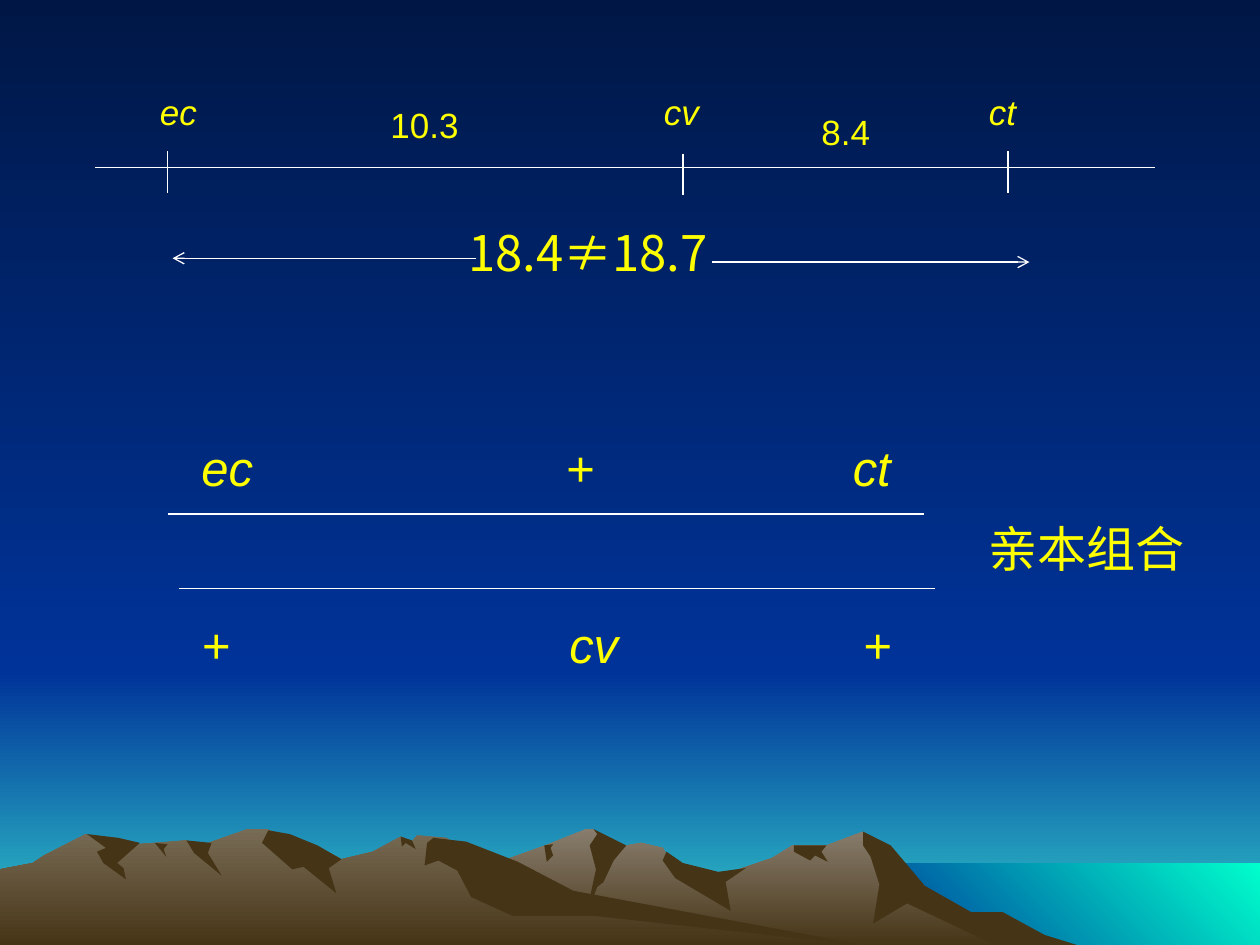
import pptx
import pptx.dml.color
import pptx.enum.shapes
import pptx.enum.text
import pptx.oxml.ns
import pptx.util

Inches = pptx.util.Inches
Pt = pptx.util.Pt
RGBColor = pptx.dml.color.RGBColor
qn = pptx.oxml.ns.qn

NIGHT = RGBColor(0x00, 0x17, 0x46)
BLUE = RGBColor(0x00, 0x33, 0x99)
HORIZON = RGBColor(0x33, 0xCC, 0xCC)
AQUA = RGBColor(0x00, 0xFF, 0xCC)
FAR_PEAK = RGBColor(0x88, 0x7D, 0x6D)
NEAR_PEAK = RGBColor(0x78, 0x6B, 0x55)
EARTH = RGBColor(0x46, 0x34, 0x16)
YELLOW = RGBColor(0xFF, 0xFF, 0x00)
WHITE = RGBColor(0xFF, 0xFF, 0xFF)

LATIN = "Arial"
CJK = "Noto Sans CJK SC"
DOWN = 270
UP_RIGHT = 45

SLIDE_WIDTH = 10
SLIDE_HEIGHT = 7.5
SKY_BREAK = 5.33
SEA_LEFT, SEA_TOP = 6.83, 6.85
GROUND = 7.51

MAP_Y = 1.33
TICK_HEIGHT = 0.33
STRAND_LENGTH = 6
LABEL_SIZE, ALLELE_SIZE = 20, 28
BOX_HEIGHT = {LABEL_SIZE: 0.44, ALLELE_SIZE: 0.57}

FAR_SKYLINE = [
    (2.58, GROUND), (3.27, 7.09), (3.94, 6.85), (4.33, 6.71), (4.65, 6.58), (4.71, 6.58),
    (4.86, 6.73), (5.09, 6.69), (5.26, 6.73), (5.36, 6.9), (5.66, 6.97), (6.13, 6.81),
    (6.29, 6.71), (6.56, 6.71), (6.85, 6.6), (7.02, 6.71), (7.23, 6.98), (7.64, 7.23),
    (8.21, GROUND)]
FAR_SHADOWS = {
    "east slope": [
        (6.85, 6.6), (6.85, 6.71), (6.91, 6.8), (6.98, 7.02), (6.93, 7.33), (7.2, 7.17),
        (7.92, GROUND), (8.58, GROUND), (8.29, 7.42), (7.96, 7.24), (7.71, 7.24),
        (7.34, 7.03), (7.07, 6.71)],
    "summit gully": [
        (4.71, 6.58), (4.74, 6.62), (4.68, 6.71), (4.73, 6.9), (4.65, 7.27), (4.74, 7.04),
        (4.79, 7), (4.87, 6.83), (4.97, 6.71)],
    "saddle": [
        (5.29, 6.76), (5.26, 6.83), (5.36, 6.97), (5.8, 7.23), (5.76, 7), (5.92, 6.89),
        (5.7, 6.92), (5.42, 6.85)],
    "east notch": [
        (6.3, 6.71), (6.3, 6.76), (6.43, 6.83), (6.47, 6.79), (6.57, 6.84), (6.52, 6.76),
        (6.56, 6.71)],
    "west notch": [(4.32, 6.71), (4.39, 6.7), (4.37, 6.73), (4.39, 6.79), (4.34, 6.84)],
}
NEAR_SKYLINE = [
    (0, GROUND), (0, 6.9), (0.26, 6.85), (0.35, 6.79), (0.68, 6.62), (0.94, 6.71),
    (1.23, 6.69), (1.48, 6.67), (1.6, 6.71), (1.96, 6.58), (2.12, 6.58), (2.23, 6.63),
    (2.36, 6.81), (2.6, 6.76), (2.71, 6.82), (2.96, 6.76), (3.18, 6.64), (3.27, 6.68),
    (3.31, 6.63), (3.54, 6.65), (4.32, 7.12), (6.9, GROUND)]
NEAR_SHADOWS = {
    "central slope": [
        (2.13, 6.59), (2.08, 6.69), (2.32, 6.9), (2.41, 6.88), (2.67, 7.09), (2.61, 6.89),
        (2.71, 6.82), (2.52, 6.71), (2.3, 6.62)],
    "long east slope": [
        (3.44, 6.65), (3.39, 6.69), (3.37, 6.87), (3.48, 6.83), (3.63, 6.91), (3.74, 7.12),
        (4.07, 7.27), (4.72, 7.27), (6.9, GROUND), (4.55, 7.07), (4.11, 6.84), (3.7, 6.68)],
    "east notch": [(3.18, 6.64), (3.27, 6.67), (3.3, 6.74), (3.22, 6.69), (3.19, 6.72)],
    "middle gully": [
        (1.48, 6.67), (1.68, 6.69), (1.65, 6.77), (1.76, 6.95), (1.54, 6.77)],
    "small notch": [(1.23, 6.69), (1.33, 6.7), (1.3, 6.74), (1.32, 6.8)],
    "west slope": [
        (0.69, 6.62), (0.94, 6.65), (1.11, 6.69), (0.93, 6.85), (0.98, 6.89), (1, 6.98),
        (0.82, 6.85), (0.77, 6.76), (0.84, 6.73)],
}


class GeneMapSlide:
    def __init__(self, slide):
        self.slide = slide
        slide.background.fill.solid()
        slide.background.fill.fore_color.rgb = BLUE

    def polygon(self, points, *colors, angle=DOWN):
        start, *corners = [(Inches(x), Inches(y)) for x, y in points]
        builder = self.slide.shapes.build_freeform(*start, scale=1.0)
        builder.add_line_segments(corners, close=True)
        area = builder.convert_to_shape()
        area.shadow.inherit = False
        area.line.fill.background()
        if len(colors) == 1:
            area.fill.solid()
            area.fill.fore_color.rgb = colors[0]
            return
        area.fill.gradient()
        area.fill.gradient_angle = angle
        for stop, color in zip(area.fill.gradient_stops, colors):
            stop.color.rgb = color

    def band(self, left, top, bottom, *colors, angle=DOWN):
        corners = [(left, top), (SLIDE_WIDTH, top), (SLIDE_WIDTH, bottom), (left, bottom)]
        self.polygon(corners, *colors, angle=angle)

    def mountains(self, skyline, peak, shadows):
        self.polygon(skyline, peak, EARTH)
        for outline in shadows.values():
            self.polygon(outline, EARTH)

    def line(self, x1, y1, x2, y2, arrow=False):
        stroke = self.slide.shapes.add_connector(
            pptx.enum.shapes.MSO_CONNECTOR.STRAIGHT,
            Inches(x1), Inches(y1), Inches(x2), Inches(y2))
        stroke.line.color.rgb = WHITE
        stroke.line.width = Pt(0.75)
        properties = stroke._element.spPr
        if arrow:
            outline = properties.find(qn("a:ln"))
            outline.append(outline.makeelement(qn("a:tailEnd"), {"type": "arrow"}))
        properties.append(properties.makeelement(qn("a:effectLst")))

    def text(self, words, left, top, width, size=ALLELE_SIZE, font=LATIN, italic=False):
        box = self.slide.shapes.add_textbox(
            Inches(left), Inches(top), Inches(width), Inches(BOX_HEIGHT[size]))
        frame = box.text_frame
        frame.text = words
        frame.word_wrap = False
        frame.auto_size = pptx.enum.text.MSO_AUTO_SIZE.SHAPE_TO_FIT_TEXT
        letters = frame.paragraphs[0].runs[0]
        letters.font.size = Pt(size)
        letters.font.name = font
        letters.font.italic = italic
        letters.font.color.rgb = YELLOW
        latin = letters.font._element.find(qn("a:latin"))
        latin.addnext(latin.makeelement(qn("a:ea"), {"typeface": font}))
        return frame

    def alleles(self, genes, left, top, width, tabs):
        frame = self.text("\t".join(genes), left, top, width, italic=True)
        frame.word_wrap = True
        properties = frame.paragraphs[0]._p.get_or_add_pPr()
        stops = properties.makeelement(qn("a:tabLst"))
        properties.append(stops)
        for position in tabs:
            tab = {"pos": str(Inches(position)), "algn": "l"}
            stops.append(stops.makeelement(qn("a:tab"), tab))


def draw_landscape(page):
    page.band(0, SKY_BREAK, SLIDE_HEIGHT, BLUE, HORIZON)
    page.band(0, 0, SKY_BREAK, NIGHT, BLUE)
    page.band(SEA_LEFT, SEA_TOP, SLIDE_HEIGHT, BLUE, AQUA, angle=UP_RIGHT)
    page.mountains(FAR_SKYLINE, FAR_PEAK, FAR_SHADOWS)
    page.mountains(NEAR_SKYLINE, NEAR_PEAK, NEAR_SHADOWS)


def draw_gene_map(page):
    page.line(0.75, MAP_Y, 9.17, MAP_Y)
    for gene, locus, tick_top, label_left, label_width in [
            ("ec", 1.33, 1.2, 1.17, 0.5),
            ("cv", 5.42, 1.22, 5.17, 0.48),
            ("ct", 8, 1.2, 7.75, 0.42)]:
        page.line(locus, tick_top, locus, tick_top + TICK_HEIGHT)
        page.text(gene, label_left, 0.67, label_width, size=LABEL_SIZE, italic=True)
    for distance, left, top, width in [("10.3", 3, 0.77, 0.75), ("8.4", 6.42, 0.83, 0.59)]:
        page.text(distance, left, top, width, size=LABEL_SIZE)
    page.text("18.4≠18.7", 3.62, 1.72, 2.17, font=CJK)
    for inner_end, outer_end, y in [(3.78, 1.37, 2.05), (5.65, 8.17, 2.08)]:
        page.line(inner_end, y, outer_end, y, arrow=True)


def draw_parental_cross(page):
    for genes, text_top, tabs, strand_left, strand_y in [
            (("ec", "+", "ct"), 3.42, (2.89, 5.17), 1.33, 4.08),
            (("+", "cv", "+"), 4.83, (2.92, 5.25), 1.42, 4.67)]:
        page.line(strand_left, strand_y, strand_left + STRAND_LENGTH, strand_y)
        page.alleles(genes, 1.5, text_top, 6.7, tabs)
    page.text("亲本组合", 7.75, 4.07, 1.77, font=CJK)


def main():
    deck = pptx.Presentation()
    deck.slide_width = Inches(SLIDE_WIDTH)
    deck.slide_height = Inches(SLIDE_HEIGHT)
    page = GeneMapSlide(deck.slides.add_slide(deck.slide_layouts[6]))
    draw_landscape(page)
    draw_gene_map(page)
    draw_parental_cross(page)
    deck.save("out.pptx")


if __name__ == "__main__":
    main()
